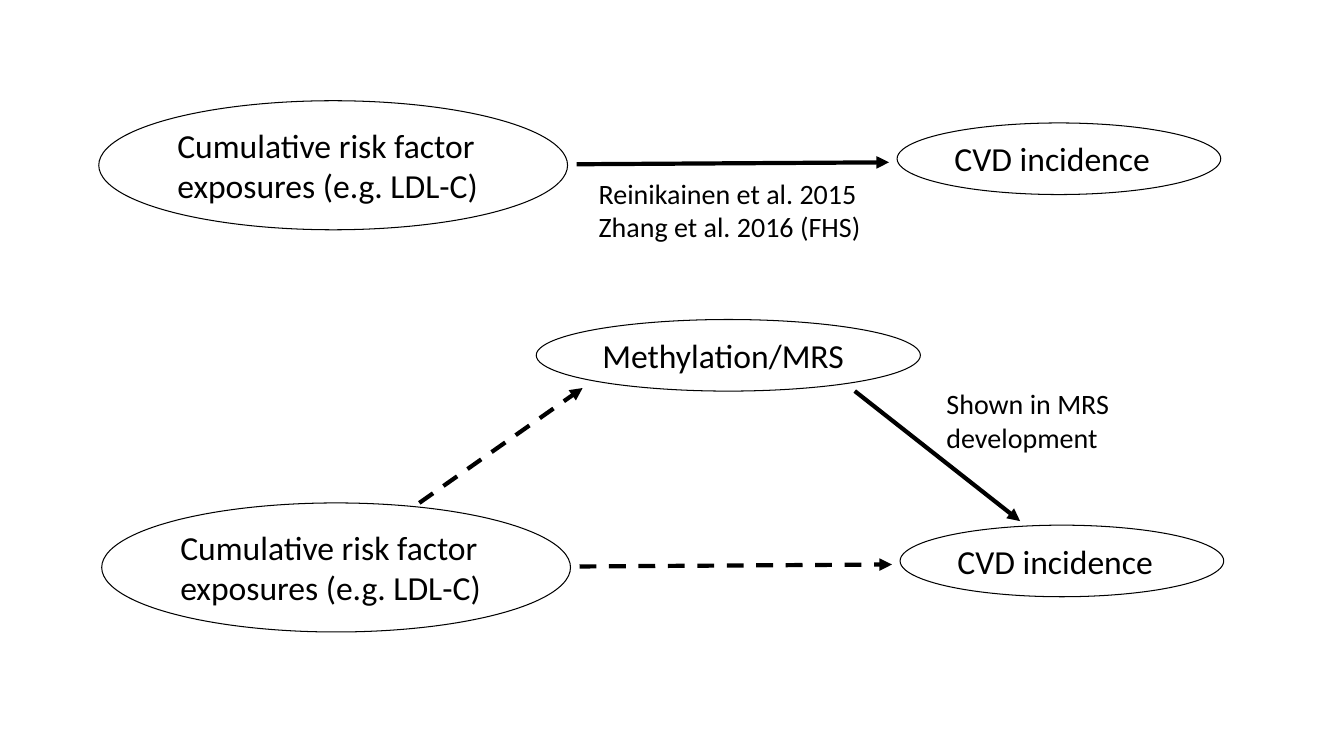
from dataclasses import dataclass

import pptx
import pptx.dml.color
import pptx.enum.dml
import pptx.enum.shapes
import pptx.enum.text
import pptx.oxml.ns
import pptx.util
from lxml import etree

INK = "000000"
FONT = "Calibri"
FACTOR_SIZE, NOTE_SIZE = 24, 20
ONE_LINE = 9.47  # height of a one-line ellipse
NARROW = 24.08  # width shared by outcomes and notes


# All positions and lengths are percentages of the slide's width and height.
@dataclass(frozen=True)
class Label:
    text: str
    left: float
    top: float
    width: float
    height: float


@dataclass(frozen=True)
class Effect:
    start: tuple[float, float]
    end: tuple[float, float]
    dashed: bool = False


deck = pptx.Presentation()
deck.slide_width = pptx.util.Inches(13.33)
deck.slide_height = pptx.util.Inches(7.5)
diagram = deck.slides.add_slide(deck.slide_layouts[6])


def across(share: float) -> int:
    return round(deck.slide_width * share / 100)


def down(share: float) -> int:
    return round(deck.slide_height * share / 100)


def rgb(color: str) -> pptx.dml.color.RGBColor:
    return pptx.dml.color.RGBColor.from_string(color)


def bounds(label: Label) -> tuple[int, int, int, int]:
    return (across(label.left), down(label.top),
            across(label.width), down(label.height))


def write(frame: pptx.text.text.TextFrame, text: str, size: int) -> None:
    frame.text = text
    frame.word_wrap = True
    frame.auto_size = pptx.enum.text.MSO_AUTO_SIZE.SHAPE_TO_FIT_TEXT
    frame.vertical_anchor = pptx.enum.text.MSO_ANCHOR.TOP
    for paragraph in frame.paragraphs:
        paragraph.alignment = pptx.enum.text.PP_ALIGN.LEFT
        for run in paragraph.runs:
            run.font.name = FONT
            run.font.size = pptx.util.Pt(size)
            run.font.color.rgb = rgb(INK)


def draw_factor(factor: Label) -> None:
    ellipse = diagram.shapes.add_shape(
        pptx.enum.shapes.MSO_SHAPE.OVAL, *bounds(factor))
    ellipse.shadow.inherit = False
    ellipse.fill.background()
    ellipse.line.color.rgb = rgb(INK)
    ellipse.line.width = pptx.util.Pt(0.75)
    write(ellipse.text_frame, factor.text, FACTOR_SIZE)


def draw_note(note: Label) -> None:
    box = diagram.shapes.add_textbox(*bounds(note))
    write(box.text_frame, note.text, NOTE_SIZE)


def draw_effect(effect: Effect) -> None:
    arrow = diagram.shapes.add_connector(
        pptx.enum.shapes.MSO_CONNECTOR.STRAIGHT,
        across(effect.start[0]), down(effect.start[1]),
        across(effect.end[0]), down(effect.end[1]))
    arrow.line.color.rgb = rgb(INK)
    arrow.line.width = pptx.util.Pt(3)
    if effect.dashed:
        arrow.line.dash_style = pptx.enum.dml.MSO_LINE.DASH
    properties = arrow.element.spPr
    outline = properties.find(pptx.oxml.ns.qn("a:ln"))
    etree.SubElement(outline, pptx.oxml.ns.qn("a:tailEnd"), type="triangle")
    etree.SubElement(properties, pptx.oxml.ns.qn("a:effectLst"))


def draw_direct_path(dx: float, dy: float, dashed: bool) -> None:
    """Exposure leading straight to the outcome, shifted by dx and dy."""
    draw_factor(Label("Cumulative risk factor exposures (e.g. LDL-C)",
                      7.35 + dx, 13.33 + dy, 34.88, 17.07))
    draw_factor(Label("CVD incidence", 66.75 + dx, 16.27 + dy, NARROW, ONE_LINE))
    draw_effect(Effect((42.9 + dx, 21.73 + dy), (66.15 + dx, 21.47 + dy), dashed))


# Direct path in both models: published above, hypothesised below
draw_direct_path(0, 0, dashed=False)
draw_direct_path(0.22, 53.2, dashed=True)

# Mediator and its effects
draw_factor(Label("Methylation/MRS", 39.9, 42.27, 28.58, ONE_LINE))
for mediated in (
    Effect((31.2, 66.53), (43.35, 51.33), dashed=True),
    Effect((63.6, 51.73), (75.9, 68.93)),
):
    draw_effect(mediated)

# Evidence beside the solid arrows
for evidence in (
    Label("Reinikainen et al. 2015\nZhang et al. 2016 (FHS)",
          43.8, 22.67, NARROW, 14.8),
    Label("Shown in MRS development", 69.68, 50.53, NARROW, 10.27),
):
    draw_note(evidence)

deck.save("out.pptx")
